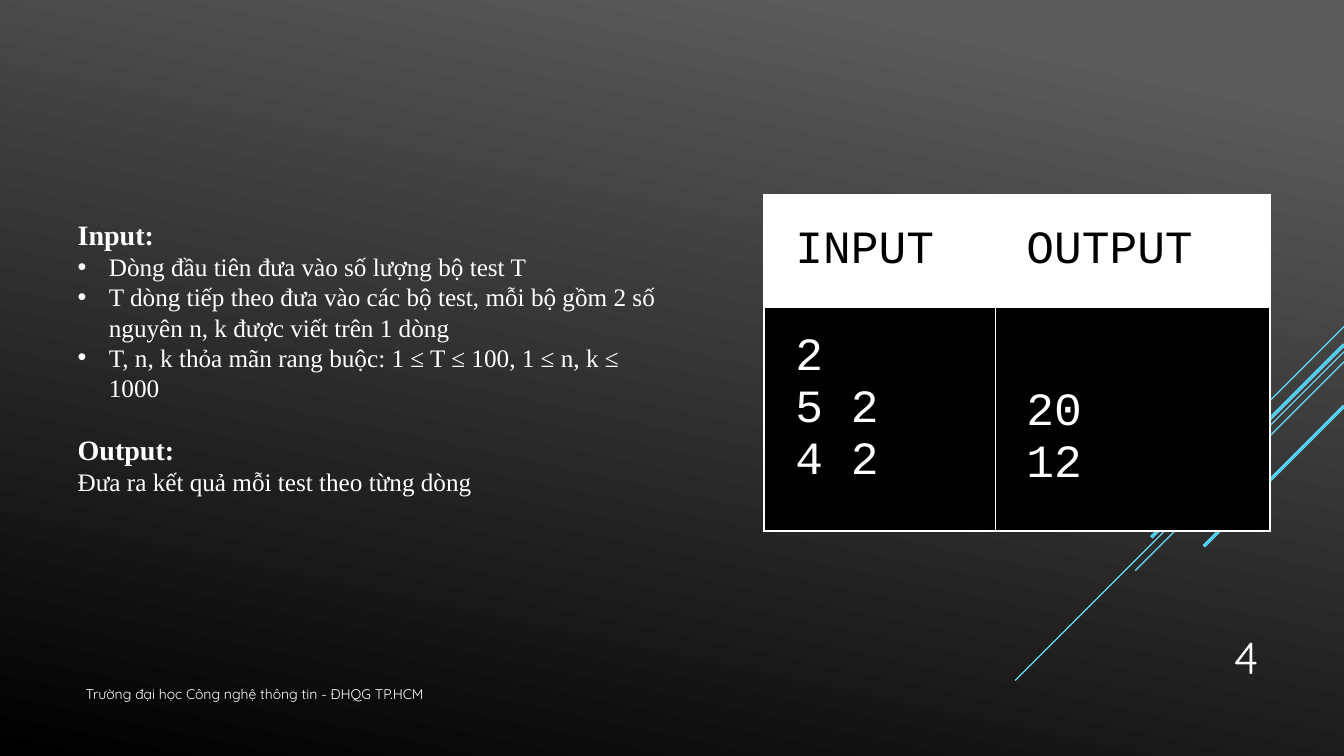
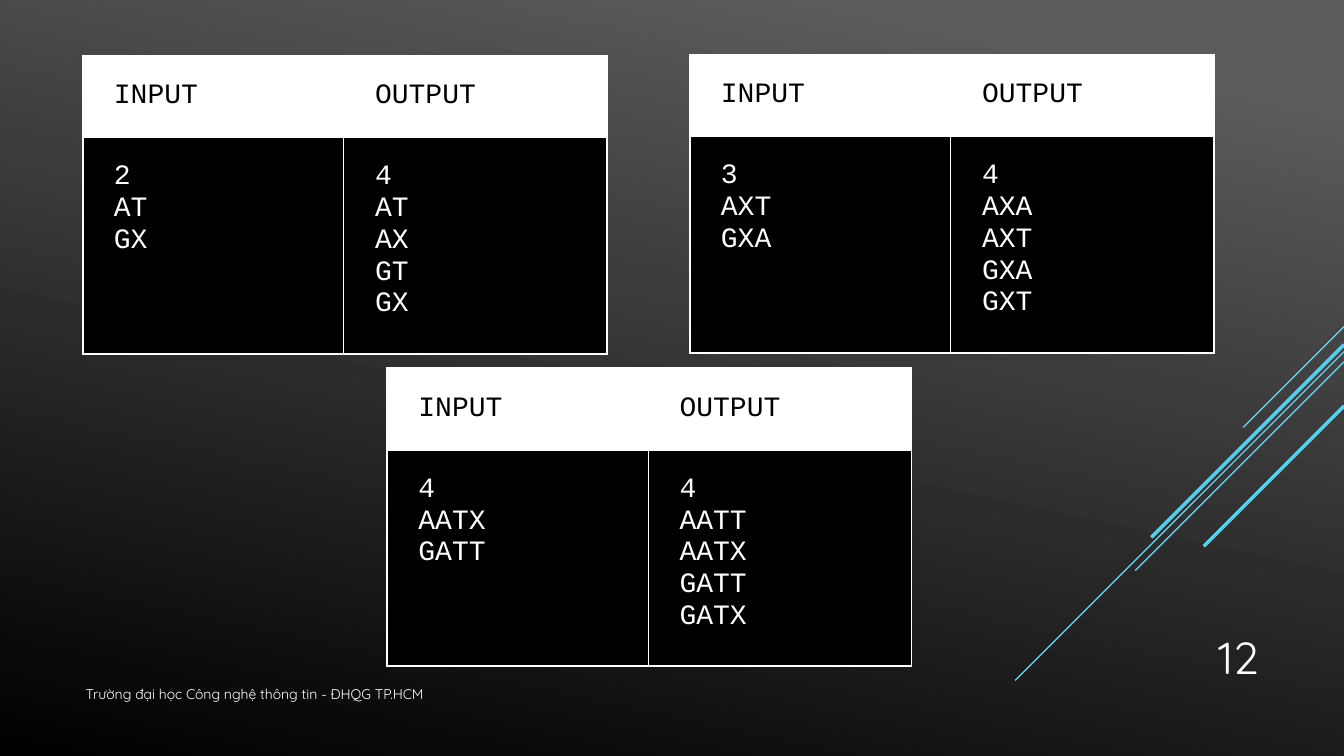
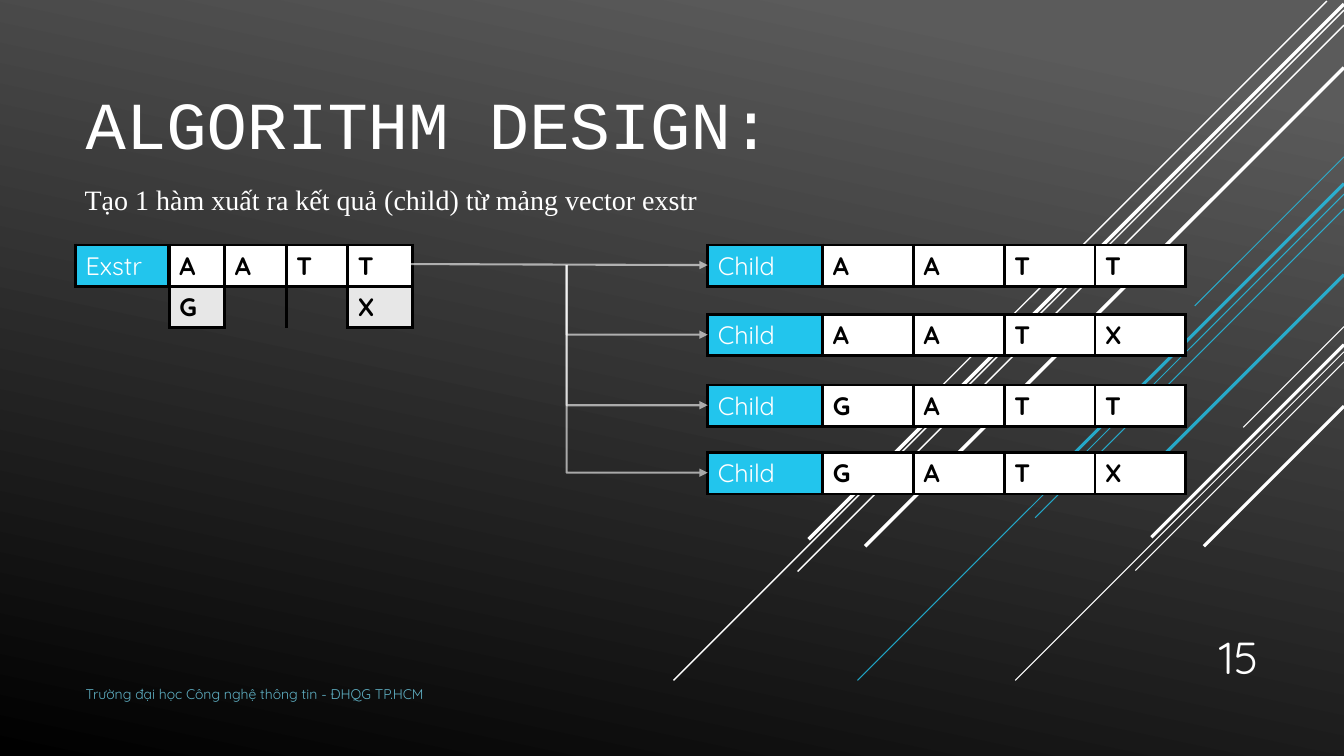
from lxml import etree
from pptx import Presentation
from pptx.dml.color import RGBColor
from pptx.enum.shapes import MSO_CONNECTOR
from pptx.enum.text import MSO_ANCHOR, MSO_AUTO_SIZE, PP_ALIGN
from pptx.oxml.ns import qn
from pptx.util import Inches, Pt

STRAIGHT, ELBOW = MSO_CONNECTOR.STRAIGHT, MSO_CONNECTOR.ELBOW
TOP, MIDDLE, BOTTOM = MSO_ANCHOR.TOP, MSO_ANCHOR.MIDDLE, MSO_ANCHOR.BOTTOM
LEFT, RIGHT = PP_ALIGN.LEFT, PP_ALIGN.RIGHT
NO_AUTOFIT = MSO_AUTO_SIZE.NONE

WHITE, BLACK, GREY = "FFFFFF", "000000", "E7E7E7"
BLUE, PALE_BLUE = "22C5ED", "76DBF4"
MONO, SANS, SERIF = "Courier New", "Quicksand", "Times New Roman"
PLAIN_TABLE = "{2D5ABB26-0587-4C30-8999-92F81FD0307C}"
FOOTER = "Trường đại học Công nghệ thông tin - ĐHQG TP.HCM"
TITLE_AND_CONTENT, TITLE_ONLY, BLANK = 1, 5, 6

SLIDE_WIDTH, STREAK_FOOT = 13.33, 6.75
# Diagonal streaks: right end, top, extent to the left, line width
EDGE_STREAKS = [
    (13.33, 3.24, 1.0, 0.75),
    (13.33, 3.49, 3.26, 0.75),
    (13.33, 3.59, 2.07, 0.75),
    (13.33, 3.42, 1.91, 2.25),
    (13.33, 4.03, 1.39, 2.25),
]
LONG_STREAKS = [
    (13.16, 0.01, 4.16, 1),
    (13.33, 0.1, 6.65, 1),
    (13.33, 0.25, 5.42, 1),
    (13.33, 0.04, 5.31, 2.5),
    (13.33, 0.67, 4.75, 2.5),
]
# Cell sides in schema order, with the row and column step to the neighbour
SIDES = {"L": (0, -1), "R": (0, 1), "T": (-1, 0), "B": (1, 0)}


def rgb(color):
    return RGBColor.from_string(color)


def set_alpha(element, percent):
    for color in element.iter(qn("a:srgbClr")):
        etree.SubElement(color, qn("a:alpha"), val=str(percent * 1000))


def place(shape, left, top, width, height):
    shape.left, shape.top = Inches(left), Inches(top)
    shape.width, shape.height = Inches(width), Inches(height)


def style(paragraph, font, size, color, bold=False):
    for span in paragraph.runs:
        span.font.name, span.font.size = font, Pt(size)
        span.font.bold = bold
        span.font.color.rgb = rgb(color)


def add_text(page, box_area, text, font, size, color=WHITE, align=LEFT, anchor=TOP, after=6):
    box = page.shapes.add_textbox(*map(Inches, box_area))
    frame = box.text_frame
    frame.word_wrap = True
    frame.vertical_anchor = anchor
    frame.text = text
    paragraph = frame.paragraphs[0]
    paragraph.alignment = align
    paragraph.space_after = Pt(after)
    style(paragraph, font, size, color)
    return box


def add_line(page, kind, start, end, color, width, alpha=100, arrow=False):
    line = page.shapes.add_connector(kind, *map(Inches, (*start, *end)))
    line.line.color.rgb = rgb(color)
    line.line.width = Pt(width)
    properties = line._element.spPr
    if alpha < 100:
        set_alpha(properties, alpha)
    if arrow:
        etree.SubElement(properties.find(qn("a:ln")), qn("a:tailEnd"), type="triangle")
    etree.SubElement(properties, qn("a:effectLst"))
    return line


def add_elbow_arrow(page, start, end):
    """Arrow that goes straight down first and then to the right."""
    arrow = add_line(page, ELBOW, start, end, WHITE, 1.5, 60, True)
    guides = arrow._element.spPr.find(qn("a:prstGeom")).get_or_add_avLst()
    etree.SubElement(guides, qn("a:gd"), name="adj1", fmla="val 0")


def add_streaks(page, streaks, color, alpha=100, scale=1):
    """Draw 45 degree lines, enlarged about the right edge and the lowest end."""
    for right, top, extent, width in streaks:
        x = SLIDE_WIDTH - (SLIDE_WIDTH - right) * scale
        y = STREAK_FOOT - (STREAK_FOOT - top) * scale
        reach = extent * scale
        add_line(page, STRAIGHT, (x, y), (x - reach, y + reach), color, width, alpha)


def set_border(cell, side, color, width):
    properties = cell._tc.get_or_add_tcPr()
    line = etree.Element(qn(f"a:ln{side}"), w=str(Pt(width)))
    fill = etree.SubElement(line, qn("a:solidFill"))
    etree.SubElement(fill, qn("a:srgbClr"), val=color)
    drawn = sum(child.tag.startswith(qn("a:ln")) for child in properties)
    properties.insert(drawn, line)


def add_plain_table(page, left, top, widths, heights):
    area = map(Inches, (left, top, sum(widths), sum(heights)))
    table = page.shapes.add_table(len(heights), len(widths), *area).table
    table.first_row = table.horz_banding = False
    table._tbl.tblPr.find(qn("a:tableStyleId")).text = PLAIN_TABLE
    for column, width in zip(table.columns, widths):
        column.width = Inches(width)
    for row, height in zip(table.rows, heights):
        row.height = Inches(height)
    return table


def fill_cell(cell, text, font, size, color, fill, bold=False):
    cell.text = text
    for paragraph in cell.text_frame.paragraphs:
        style(paragraph, font, size, color, bold)
    cell.fill.solid()
    cell.fill.fore_color.rgb = rgb(fill)


def add_example(page, left, top, widths, heights, size, given, expected):
    """Two-column table with a sample input and its output."""
    table = add_plain_table(page, left, top, widths, heights)
    rows = [("INPUT", "OUTPUT"), (given, expected)]
    for r, texts in enumerate(rows):
        for c, text in enumerate(texts):
            cell = table.cell(r, c)
            color, fill = (WHITE, BLACK) if r else (BLACK, WHITE)
            fill_cell(cell, text, MONO, size, color, fill)
            cell.vertical_anchor = TOP if r else MIDDLE
            cell.margin_left = Inches(0.31)
            cell.margin_right = cell.margin_top = cell.margin_bottom = Inches(0.24)
            for side, (down, across) in SIDES.items():
                inner = r + down in (0, 1) and c + across in (0, 1)
                set_border(cell, side, WHITE, 0.5 if inner else 1.5)
    return table


def add_letters(page, left, top, widths, rows, color=BLACK, fills=(WHITE, GREY), bold=True):
    """Boxed cells; a blank cell only shows the edges of its neighbours."""
    table = add_plain_table(page, left, top, widths, [0.41] * len(rows))
    filled = {(r, c) for r, row in enumerate(rows) for c, text in enumerate(row) if text}
    for r, row in enumerate(rows):
        for c, text in enumerate(row):
            cell = table.cell(r, c)
            if text:
                fill_cell(cell, text, SANS, 18, color, fills[r], bold)
            for side, (down, across) in SIDES.items():
                if text or (r + down, c + across) in filled:
                    set_border(cell, side, BLACK, 2.25)


def add_label(page, left, top, width, text):
    add_letters(page, left, top, [width], [[text]], WHITE, [BLUE], False)


def set_background(deck):
    fill = deck.slide_master.background.fill
    fill.gradient()
    fill.gradient_angle = 258
    for stop, position, color in zip(fill.gradient_stops, (0.1, 1), ("5B5B5B", BLACK)):
        stop.position = position
        stop.color.rgb = rgb(color)


def add_page(deck, layout, number, footer_color=WHITE):
    page = deck.slides.add_slide(deck.slide_layouts[layout])
    add_streaks(page, EDGE_STREAKS, WHITE)
    footer = add_text(page, (0.75, 6.75, 8.25, 0.4), FOOTER, SANS, 10, footer_color)
    if footer_color != WHITE:
        set_alpha(footer._element, 80)
    add_text(page, (11.33, 6.1, 1.25, 0.73), str(number), SANS, 32, align=RIGHT, anchor=BOTTOM)
    return page


def fill_statement(body, lines):
    """Headings, bullets and plain lines given as (kind, text)."""
    place(body, 0.67, 2.11, 6, 2.89)
    frame = body.text_frame
    frame.auto_size = NO_AUTOFIT
    frame.text = "\n".join(text for kind, text in lines)
    for index, (paragraph, (kind, text)) in enumerate(zip(frame.paragraphs, lines)):
        heading, bullet = kind == "heading", kind == "bullet"
        style(paragraph, SERIF, 20 if heading else 18, WHITE, heading)
        paragraph.space_before = Pt(21.5 if heading and index else 0)
        properties = paragraph._p.get_or_add_pPr()
        indent = Inches(0.31) if bullet else 0
        properties.set("marL", str(indent))
        properties.set("indent", str(-indent))
        if bullet:
            etree.SubElement(properties, qn("a:buChar"), char="•")
        else:
            etree.SubElement(properties, qn("a:buNone"))


def build_statement(deck):
    page = add_page(deck, TITLE_AND_CONTENT, 4)
    add_streaks(page, EDGE_STREAKS, BLUE, 80)
    title = page.shapes.title._element
    title.getparent().remove(title)
    fill_statement(page.placeholders[1], [
        ("heading", "Input:"),
        ("bullet", "Dòng đầu tiên đưa vào số lượng bộ test T"),
        ("bullet", "T dòng tiếp theo đưa vào các bộ test, mỗi bộ gồm 2 số nguyên n, k "
                   "được viết trên 1 dòng"),
        ("bullet", "T, n, k thỏa mãn rang buộc: 1 ≤ T ≤ 100, 1 ≤ n, k ≤ 1000"),
        ("heading", "Output:"),
        ("plain", "Đưa ra kết quả mỗi test theo từng dòng"),
    ])
    table = add_example(page, 7.58, 1.93, [2.29, 2.73], [1.12, 2.22], 33,
                        "2\n5 2\n4 2", "20\n12")
    table.cell(1, 1).margin_top = Inches(0.79)


def build_examples(deck):
    page = add_page(deck, BLANK, 12)
    add_streaks(page, EDGE_STREAKS, BLUE, 80)
    examples = [
        (0.82, 0.55, "2\nAT\nGX", "4\nAT\nAX\nGT\nGX"),
        (6.84, 0.54, "3\nAXT\nGXA", "4\nAXA\nAXT\nGXA\nGXT"),
        (3.84, 3.65, "4\nAATX\nGATT", "4\nAATT\nAATX\nGATT\nGATX"),
    ]
    for left, top, given, expected in examples:
        add_example(page, left, top, [2.59, 2.61], [0.79, 2.05], 20, given, expected)


def build_algorithm(deck):
    page = add_page(deck, TITLE_ONLY, 15, PALE_BLUE)
    add_streaks(page, LONG_STREAKS, WHITE)
    add_streaks(page, EDGE_STREAKS, BLUE, 80, 1.48)

    title = page.shapes.title
    place(title, 0.75, 0.75, 9.21, 0.92)
    title.text_frame.text = "ALGORITHM DESIGN:"
    title.text_frame.auto_size = NO_AUTOFIT
    title.text_frame.vertical_anchor = BOTTOM
    heading = title.text_frame.paragraphs[0]
    heading.alignment = LEFT
    style(heading, MONO, 48, WHITE)
    subtitle = add_text(page, (0.74, 1.74, 12.09, 0.44),
                        "Tạo 1 hàm xuất ra kết quả (child) từ mảng vector exstr",
                        SERIF, 20, after=8)
    subtitle.text_frame.paragraphs[0].line_spacing = 1.07

    add_letters(page, 1.68, 2.43, [0.55, 0.61, 0.61, 0.64], ["AATT", ["G", "", "", "X"]])
    add_label(page, 0.75, 2.43, 0.92, "Exstr")

    trunk, child_left = 5.62, 7.02
    children = [(2.43, "AATT"), (3.12, "AATX"), (3.82, "GATT"), (4.49, "GATX")]
    for index, (top, letters) in enumerate(children):
        add_letters(page, 8.16, top, [0.9] * 4, [letters])
        add_label(page, child_left, top, 1.14, "Child")
        target = (child_left, top + 0.2)
        if index:
            add_elbow_arrow(page, (trunk, 2.63), target)
        else:
            add_line(page, STRAIGHT, (4.07, 2.62), target, WHITE, 1.5, 60, True)


def main():
    deck = Presentation()
    deck.slide_width, deck.slide_height = Inches(SLIDE_WIDTH), Inches(7.5)
    set_background(deck)
    build_statement(deck)
    build_examples(deck)
    build_algorithm(deck)
    deck.save("out.pptx")


if __name__ == "__main__":
    main()
